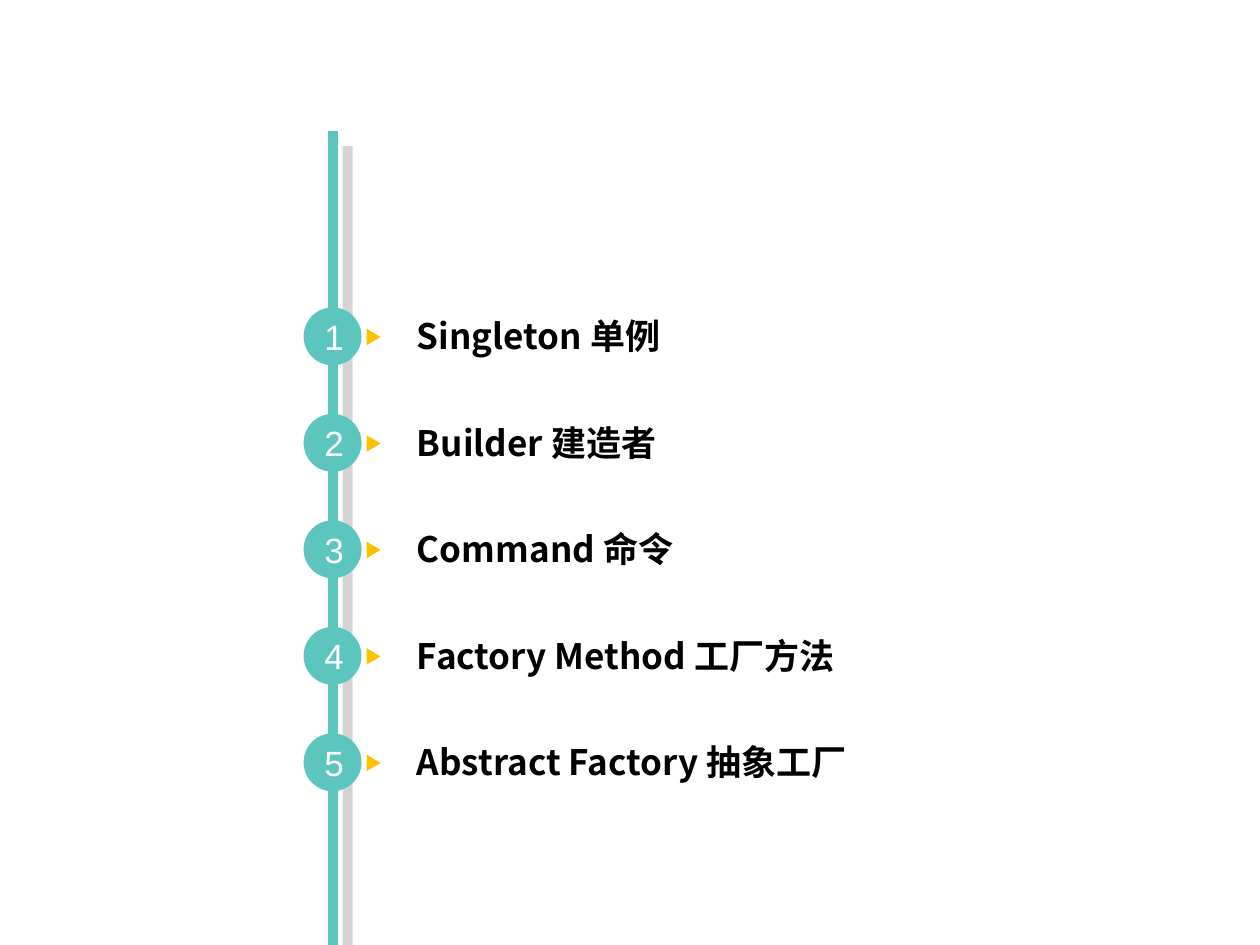
"""Build a contents slide listing five design patterns along a vertical timeline."""
from lxml.etree import SubElement
from pptx import Presentation
from pptx.dml.color import RGBColor
from pptx.enum.shapes import MSO_SHAPE
from pptx.enum.text import MSO_ANCHOR, PP_ALIGN
from pptx.oxml import parse_xml
from pptx.oxml.ns import nsdecls, qn
from pptx.util import Inches, Pt

COLORS = {"teal": "5CC5BE", "amber": "FFC000", "white": "FFFFFF", "black": "000000"}
PATTERNS = [
    "Singleton 单例",
    "Builder 建造者",
    "Command 命令",
    "Factory Method 工厂方法",
    "Abstract Factory 抽象工厂",
]
FIRST_CENTER, LAST_CENTER = 2.67, 6.05
STEP = (LAST_CENTER - FIRST_CENTER) / (len(PATTERNS) - 1)


def paint(shape, color):
    shape.shadow.inherit = False
    shape.fill.solid()
    shape.fill.fore_color.rgb = RGBColor.from_string(COLORS[color])
    shape.line.fill.background()


def write(shape, text, font, color, align, margins=(0, 0), bold=False):
    frame = shape.text_frame
    frame.text = text
    frame.word_wrap = True
    frame.vertical_anchor = MSO_ANCHOR.MIDDLE
    frame.margin_left = frame.margin_right = Inches(margins[0])
    frame.margin_top = frame.margin_bottom = Inches(margins[1])
    paragraph = frame.paragraphs[0]
    paragraph.alignment = align
    run = paragraph.runs[0]
    run.font.size = Pt(20)
    run.font.bold = bold
    run.font.name = font
    run.font.color.rgb = RGBColor.from_string(COLORS[color])
    SubElement(run.font._element, qn("a:ea")).set("typeface", font)


prs = Presentation()
prs.slide_width, prs.slide_height = Inches(10), Inches(7.5)
slide = prs.slides.add_slide(prs.slide_layouts[6])
shapes = slide.shapes

outline = shapes.build_freeform(Inches(2.6), Inches(1.04))
outline.add_line_segments(
    [(Inches(x), Inches(y)) for x, y in [(2.68, 1.04), (2.68, 7.5), (2.6, 7.5)]]
)
spine = outline.convert_to_shape()
paint(spine, "teal")
effects = spine._element.spPr.find(qn("a:effectLst"))
effects.append(parse_xml(
    f'<a:outerShdw {nsdecls("a")} blurRad="0" dist="{Pt(12.1)}" dir="2700000" '
    'algn="ctr" rotWithShape="0"><a:srgbClr val="000000"><a:alpha val="16000"/>'
    '</a:srgbClr></a:outerShdw>'
))

for index, pattern in enumerate(PATTERNS):
    center = FIRST_CENTER + index * STEP

    badge = shapes.add_shape(
        MSO_SHAPE.OVAL, Inches(2.41), Inches(center - 0.23), Inches(0.46), Inches(0.46)
    )
    paint(badge, "teal")
    write(badge, str(index + 1), "Arial", "white", PP_ALIGN.CENTER, (0.1, 0.05))

    label = shapes.add_textbox(
        Inches(3.31), Inches(center - 0.36), Inches(5.84), Inches(0.71)
    )
    write(label, pattern, "Noto Sans CJK SC", "black", PP_ALIGN.LEFT, bold=True)

    pointer = shapes.add_shape(
        MSO_SHAPE.ISOSCELES_TRIANGLE,
        Inches(2.9), Inches(center - 0.05), Inches(0.13), Inches(0.11),
    )
    pointer.rotation = 90
    paint(pointer, "amber")

prs.save("out.pptx")
